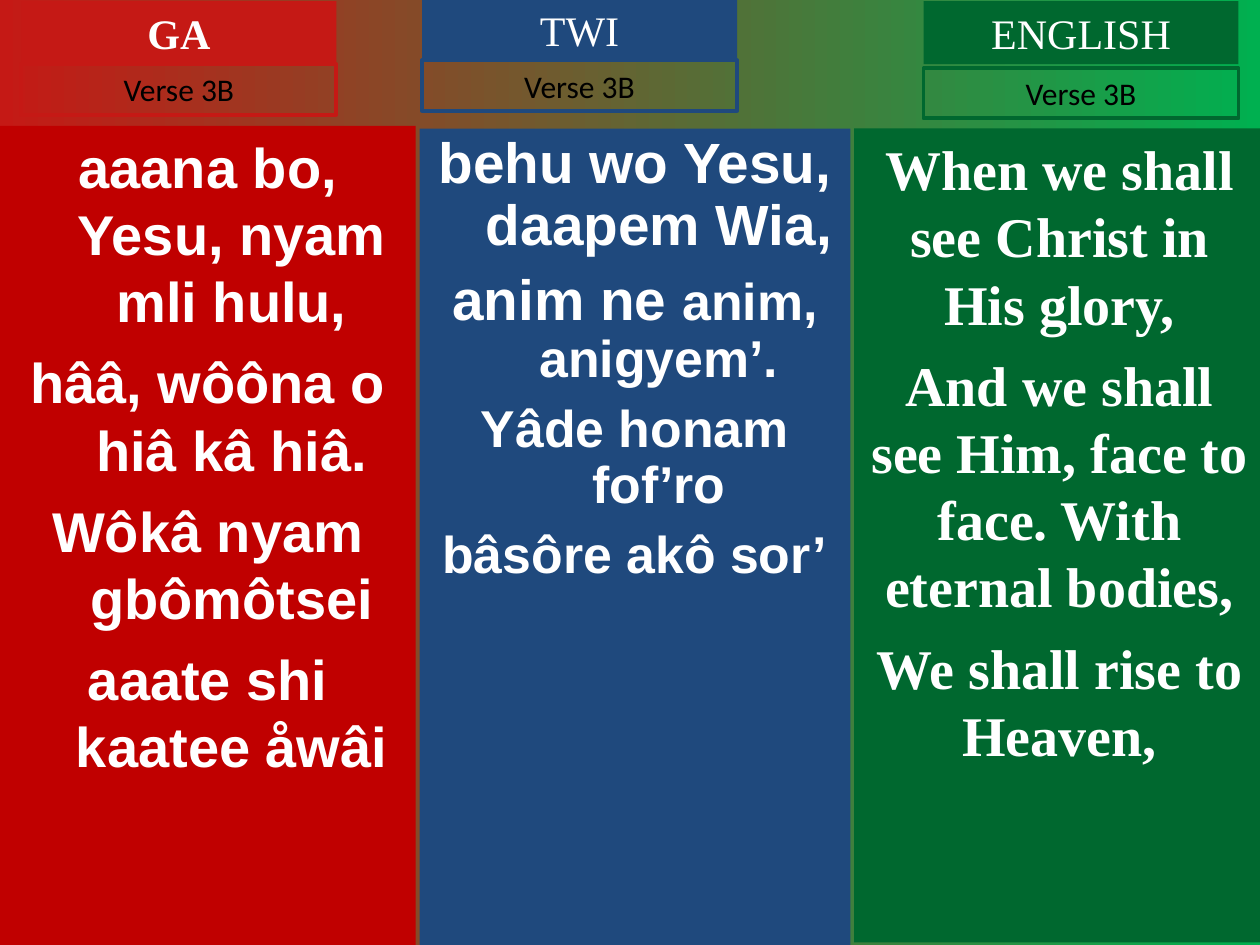
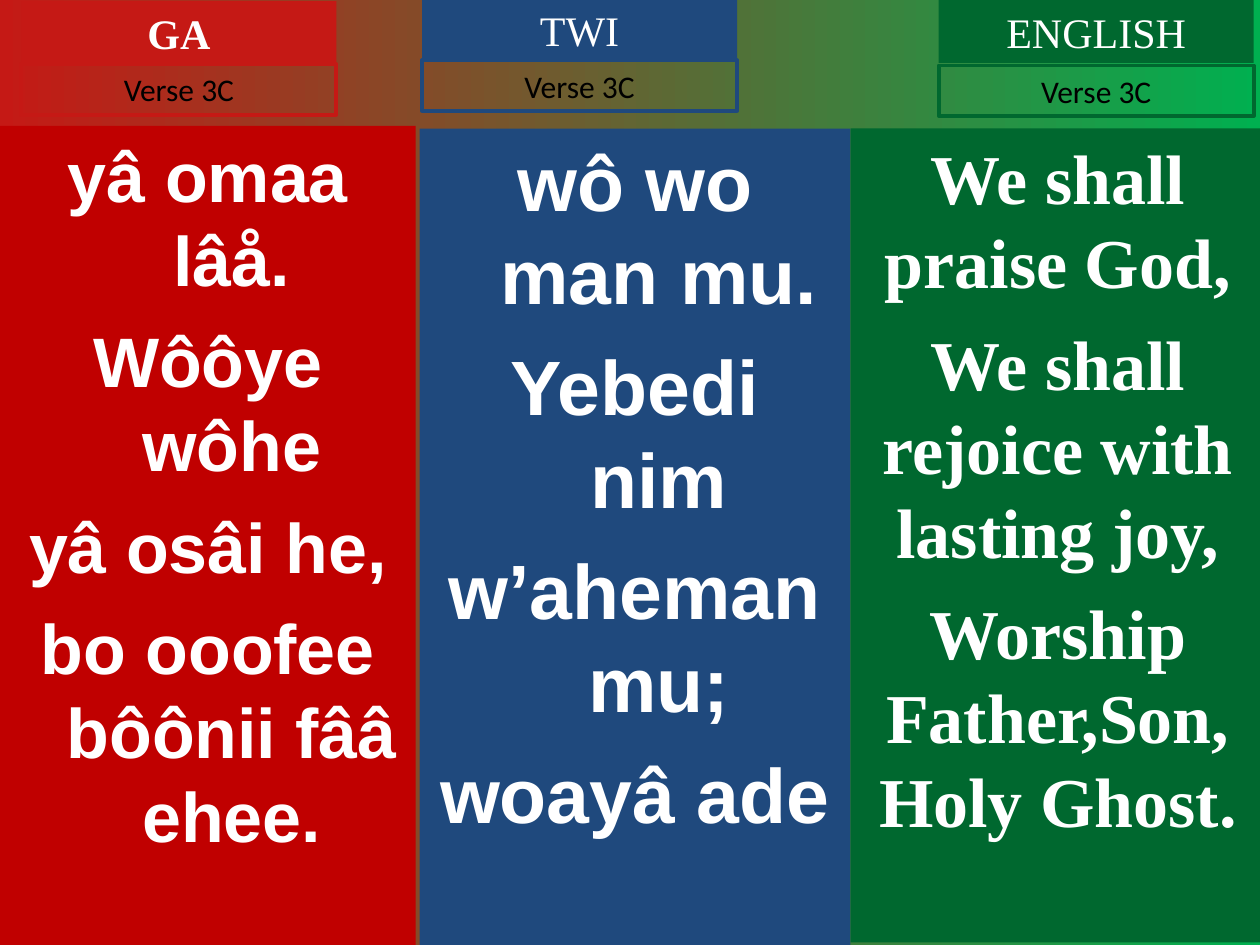
import pptx
import pptx.dml.color
import pptx.enum.shapes
import pptx.enum.text
import pptx.util

Inches = pptx.util.Inches
Pt = pptx.util.Pt

SERIF, SANS, PLAIN = "Times New Roman", "Arial", "Calibri"
WHITE, BLACK = "FFFFFF", "000000"
RED, BRIGHT, BLUE, GREEN, LEAF = "C00000", "C51915", "1F497D", "00682F", "00B050"

VERSES = [
    {
        "label": "Verse 3B",
        "ga": (["aaana bo, Yesu, nyam mli hulu,", "hââ, wôôna o hiâ kâ hiâ.",
                "Wôkâ nyam gbômôtsei", "aaate shi kaatee åwâi"], 32),
        "twi": (["behu wo Yesu, daapem Wia,", ["anim ne ", "anim, anigyem’."],
                 "Yâde honam fof’ro", "bâsôre akô sor’"], 32.4),
        "english": (["When we shall see Christ in His glory,",
                     "And we shall see Him, face to face. With eternal bodies,",
                     "We shall rise to Heaven,"], 32),
        "left": 6.78, "head": (7.33, 0.01, 0.54),
    },
    {
        "label": "Verse 3C",
        "ga": (["yâ omaa lâå.", "Wôôye wôhe", "yâ osâi he,",
                "bo ooofee bôônii fââ ehee."], 40),
        "twi": (["wô wo man mu.", "Yebedi nim", "w’aheman mu;", "woayâ ade"], 44),
        "english": (["We shall praise God,", "We shall rejoice with lasting joy,",
                     "Worship Father,Son, Holy Ghost."], 40),
        "left": 6.75, "head": (7.45, 0, 0.52),
    },
]


def tint(code):
    """Turn a hex string into a colour."""
    return pptx.dml.color.RGBColor.from_string(code)


def style(run, size, face, color, bold=False):
    """Format one run."""
    run.font.size = Pt(size)
    run.font.name = face
    run.font.bold = bold
    run.font.color.rgb = tint(color)


def add_box(slide, place, fill=None, line=None):
    """Add a plain rectangle with a fill, an outline or both."""
    box = slide.shapes.add_shape(
        pptx.enum.shapes.MSO_SHAPE.RECTANGLE, *[Inches(n) for n in place])
    box.shadow.inherit = False
    if fill:
        box.fill.solid()
        box.fill.fore_color.rgb = tint(fill)
    else:
        box.fill.background()
    if line:
        box.line.color.rgb = tint(line)
        box.line.width = Pt(2.25)
    else:
        box.line.fill.background()
    box.text_frame.word_wrap = True
    box.text_frame.vertical_anchor = pptx.enum.text.MSO_ANCHOR.TOP
    return box


def add_label(box, text, size, face, color, bold=False):
    """Write one centred line in a box."""
    para = box.text_frame.paragraphs[0]
    para.text = text
    para.alignment = pptx.enum.text.PP_ALIGN.CENTER
    style(para.runs[0], size, face, color, bold)


def add_head(slide, place, name, label, color, bold=False):
    """Add a language band with its framed verse label."""
    left, top, low = place
    band = add_box(slide, (left, top, 2.5, 0.5), fill=color)
    add_label(band, name, 24, SERIF, WHITE, bold)
    frame = add_box(slide, (left, low, 2.5, 0.4), line=color)
    add_label(frame, label, 18, PLAIN, BLACK)


def add_lyrics(slide, place, fill, lyrics, face, hang=False, pitch=None):
    """Add a coloured column of centred verse lines."""
    lines, size = lyrics
    frame = add_box(slide, place, fill=fill).text_frame
    for index, line in enumerate(lines):
        para = frame.add_paragraph() if index else frame.paragraphs[0]
        para.alignment = pptx.enum.text.PP_ALIGN.CENTER
        para.line_spacing = pitch
        if index:
            para.space_before = Pt(round(size / 4))
        if hang:
            props = para._p.get_or_add_pPr()
            props.set("marL", str(Inches(0.38)))
            props.set("indent", str(Inches(-0.38)))
        for part in [line] if isinstance(line, str) else line:
            run = para.add_run()
            run.text = part
            style(run, size, face, WHITE, True)
            if pitch and index and part != "anim ne ":
                run.font.size = Pt(29.6)


def add_verse(deck, verse):
    """Build one slide with the verse in three languages."""
    slide = deck.slides.add_slide(deck.slide_layouts[6])
    back = slide.background.fill
    back.gradient()
    back.gradient_angle = 0
    for stop, color in zip(back.gradient_stops, (BRIGHT, LEAF)):
        stop.color.rgb = tint(color)
    pitch = 0.9 if verse["twi"][1] == 32.4 else None
    left = verse["left"]
    add_lyrics(slide, (0, 1, 3.3, 6.5), RED, verse["ga"], SANS, True)
    add_lyrics(slide, (3.33, 1.02, 3.42, 6.48), BLUE, verse["twi"], SANS, True, pitch)
    add_lyrics(slide, (left, 1.02, 10.04 - left, 6.46), GREEN, verse["english"], SERIF)
    label = verse["label"]
    add_head(slide, (0.17, 0.01, 0.51), "GA", label, BRIGHT, True)
    add_head(slide, (3.35, -0.01, 0.48), "TWI", label, BLUE)
    add_head(slide, verse["head"], "ENGLISH", label, GREEN)


def main():
    """Build and save the deck."""
    deck = pptx.Presentation()
    deck.slide_width, deck.slide_height = Inches(10), Inches(7.5)
    for verse in VERSES:
        add_verse(deck, verse)
    deck.save("out.pptx")


if __name__ == "__main__":
    main()
